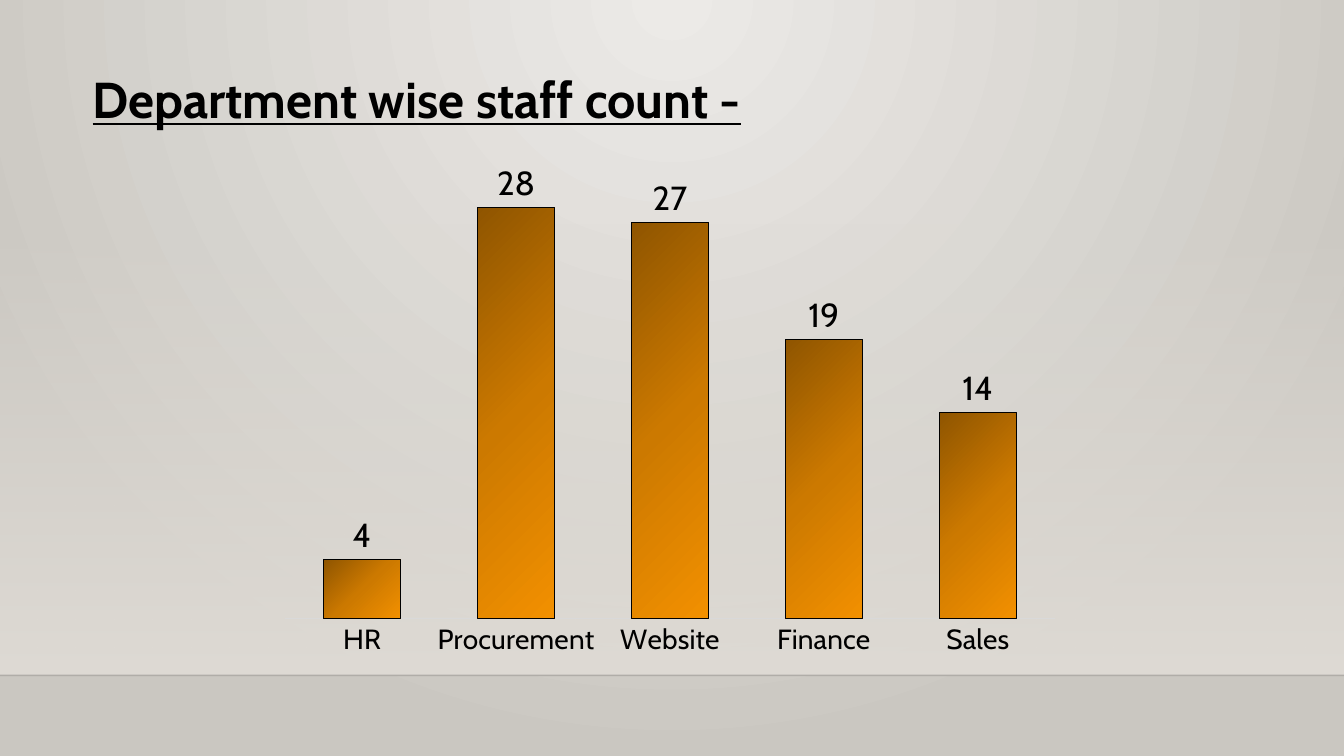
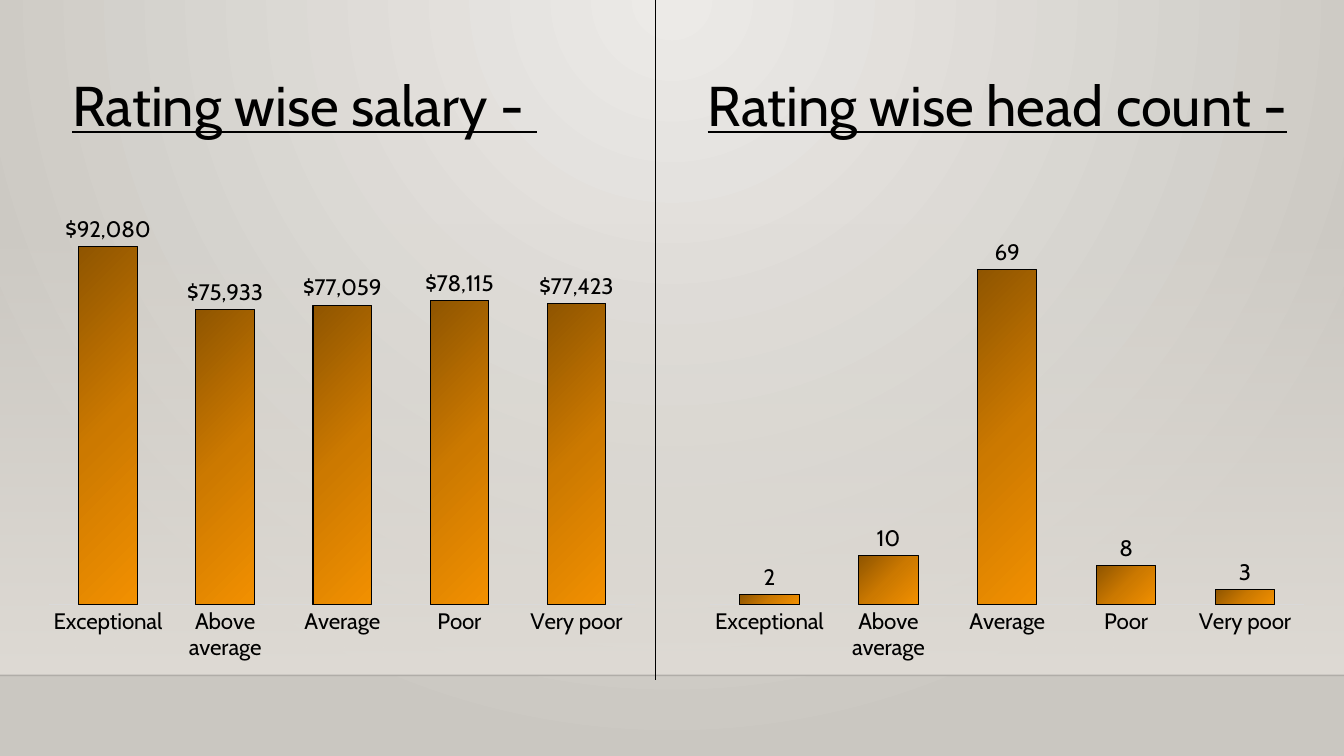
import pptx
import pptx.chart.data
import pptx.dml.color
import pptx.enum.chart
import pptx.enum.shapes
import pptx.enum.text
import pptx.oxml
import pptx.oxml.ns
import pptx.util
from lxml import etree

Inches = pptx.util.Inches
Pt = pptx.util.Pt
qn = pptx.oxml.ns.qn
RGB = pptx.dml.color.RGBColor.from_string

COLOURS = {
    "ink": "000000",
    "axis": "D9D9D9",
    "centre": "ECEAE7",
    "edge": "CAC7C1",
    "band": "DFDBD5",
    "bar dark": "8F5500",
    "bar middle": "CC7900",
    "bar light": "F29000",
}
FONT = "Cabin"
WIDTH, HEIGHT = 13.33, 7.5
FLOOR = 6.7
CIRCLE = ('<a:path path="circle"><a:fillToRect l="43000" t="0" r="43000" b="100000"/></a:path>')
DOWN = '<a:lin ang="5400000" scaled="0"/>'
DIAGONAL = '<a:lin ang="2700000" scaled="0"/>'

RATINGS = ["Exceptional", "Above average", "Average", "Poor", "Very poor"]
SLIDES = [
    [
        {
            "title": "Department wise staff count -",
            "title at": (0.82, 0.63, 9.01, 0.71), "title size": 36, "bold": True,
            "chart at": (2.67, 1.62, 7.95, 4.99), "label size": 24, "category size": 20,
            "categories": ["HR", "Procurement", "Website", "Finance", "Sales"],
            "values": [4, 28, 27, 19, 14], "top": 30, "format": "General",
        },
    ],
    [
        {
            "title": "Rating wise salary - ",
            "title at": (0.62, 0.65, 5.08, 0.77), "title size": 40, "bold": False,
            "chart at": (0.37, 2.05, 6.05, 4.6), "label size": 16, "category size": 16,
            "categories": RATINGS,
            "values": [92080, 75933, 77059, 78115, 77423], "top": 100000, "format": '"$"#,##0',
        },
        {
            "title": "Rating wise head count -",
            "title at": (6.92, 0.65, 6.14, 0.77), "title size": 40, "bold": False,
            "chart at": (6.92, 2.05, 6.14, 4.6), "label size": 16, "category size": 16,
            "categories": RATINGS,
            "values": [2, 10, 69, 8, 3], "top": 80, "format": "General",
        },
    ],
]


def set_gradient(fill, properties, stops, direction):
    fill.solid()
    fill.fore_color.rgb = RGB(COLOURS["ink"])
    marks = "".join(
        f'<a:gs pos="{place * 1000}"><a:srgbClr val="{COLOURS[name]}">'
        f'<a:alpha val="{alpha * 1000}"/></a:srgbClr></a:gs>'
        for place, name, alpha in stops
    )
    gradient = pptx.oxml.parse_xml(
        f'<a:gradFill {pptx.oxml.ns.nsdecls("a")} rotWithShape="1">'
        f"<a:gsLst>{marks}</a:gsLst>{direction}</a:gradFill>"
    )
    properties.replace(properties.find(qn("a:solidFill")), gradient)


def add_line(page, start, end, width, opacity):
    line = page.shapes.add_connector(
        pptx.enum.shapes.MSO_CONNECTOR.STRAIGHT, *map(Inches, start + end)
    )
    line.line.color.rgb = RGB(COLOURS["ink"])
    line.line.width = Pt(width)
    properties = line.element.spPr
    colour = properties.find(".//" + qn("a:srgbClr"))
    etree.SubElement(colour, qn("a:alpha")).set("val", str(opacity * 1000))
    etree.SubElement(properties, qn("a:effectLst"))


deck = pptx.Presentation()
deck.slide_width = Inches(WIDTH)
deck.slide_height = Inches(HEIGHT)

master = deck.slide_master
backdrop = master.background.fill
set_gradient(
    backdrop, master.element.find(".//" + qn("p:bgPr")),
    [(0, "centre", 100), (100, "edge", 100)], CIRCLE,
)

for panels in SLIDES:
    page = deck.slides.add_slide(deck.slide_layouts[6])

    band = page.shapes.add_shape(
        pptx.enum.shapes.MSO_SHAPE.RECTANGLE,
        0, Inches(2.21), Inches(WIDTH), Inches(FLOOR - 2.21),
    )
    band.shadow.inherit = False
    band.line.fill.background()
    set_gradient(band.fill, band.element.spPr, [(0, "band", 0), (100, "band", 100)], DOWN)
    add_line(page, (0, FLOOR), (WIDTH, FLOOR), 1, 20)

    if len(panels) > 1:
        add_line(page, (6.5, 0), (6.5, 6.75), 0.75, 100)

    for panel in panels:
        box = page.shapes.add_textbox(*map(Inches, panel["title at"]))
        box.text_frame.word_wrap = True
        box.text_frame.auto_size = pptx.enum.text.MSO_AUTO_SIZE.SHAPE_TO_FIT_TEXT
        para = box.text_frame.paragraphs[0]
        para.text = panel["title"]
        para.font.name = FONT
        para.font.size = Pt(panel["title size"])
        para.font.bold = panel["bold"]
        para.font.underline = True
        para.font.color.rgb = RGB(COLOURS["ink"])

        data = pptx.chart.data.CategoryChartData(number_format=panel["format"])
        data.categories = panel["categories"]
        data.add_series("Series 1", panel["values"])
        chart = page.shapes.add_chart(
            pptx.enum.chart.XL_CHART_TYPE.COLUMN_CLUSTERED,
            *map(Inches, panel["chart at"]), data,
        ).chart
        chart.has_title = False
        chart.has_legend = False
        chart.font.name = FONT
        chart.font.size = Pt(10)
        chart.font.color.rgb = RGB(COLOURS["ink"])

        value_axis = chart.value_axis
        value_axis.visible = False
        value_axis.has_major_gridlines = False
        value_axis.minimum_scale = 0
        value_axis.maximum_scale = panel["top"]

        category_axis = chart.category_axis
        category_axis.major_tick_mark = pptx.enum.chart.XL_TICK_MARK.NONE
        category_axis.format.line.color.rgb = RGB(COLOURS["axis"])
        category_axis.format.line.width = Pt(0.75)
        category_axis.tick_labels.font.size = Pt(panel["category size"])

        plot = chart.plots[0]
        plot.vary_by_categories = False
        plot.gap_width = 100
        plot.overlap = -27
        plot.has_data_labels = True
        labels = plot.data_labels
        labels.show_value = True
        labels.position = pptx.enum.chart.XL_LABEL_POSITION.OUTSIDE_END
        labels.number_format = panel["format"]
        labels.number_format_is_linked = False
        labels.font.name = FONT
        labels.font.size = Pt(panel["label size"])
        labels.font.color.rgb = RGB(COLOURS["ink"])

        bars = plot.series[0]
        bars.format.line.color.rgb = RGB(COLOURS["ink"])
        bars.format.line.width = Pt(0.75)
        bar_fill = bars.format.fill
        set_gradient(
            bar_fill, bars.format.fill and bars._element.find(qn("c:spPr")),
            [(0, "bar dark", 100), (50, "bar middle", 100), (100, "bar light", 100)], DIAGONAL,
        )

deck.save("out.pptx")
